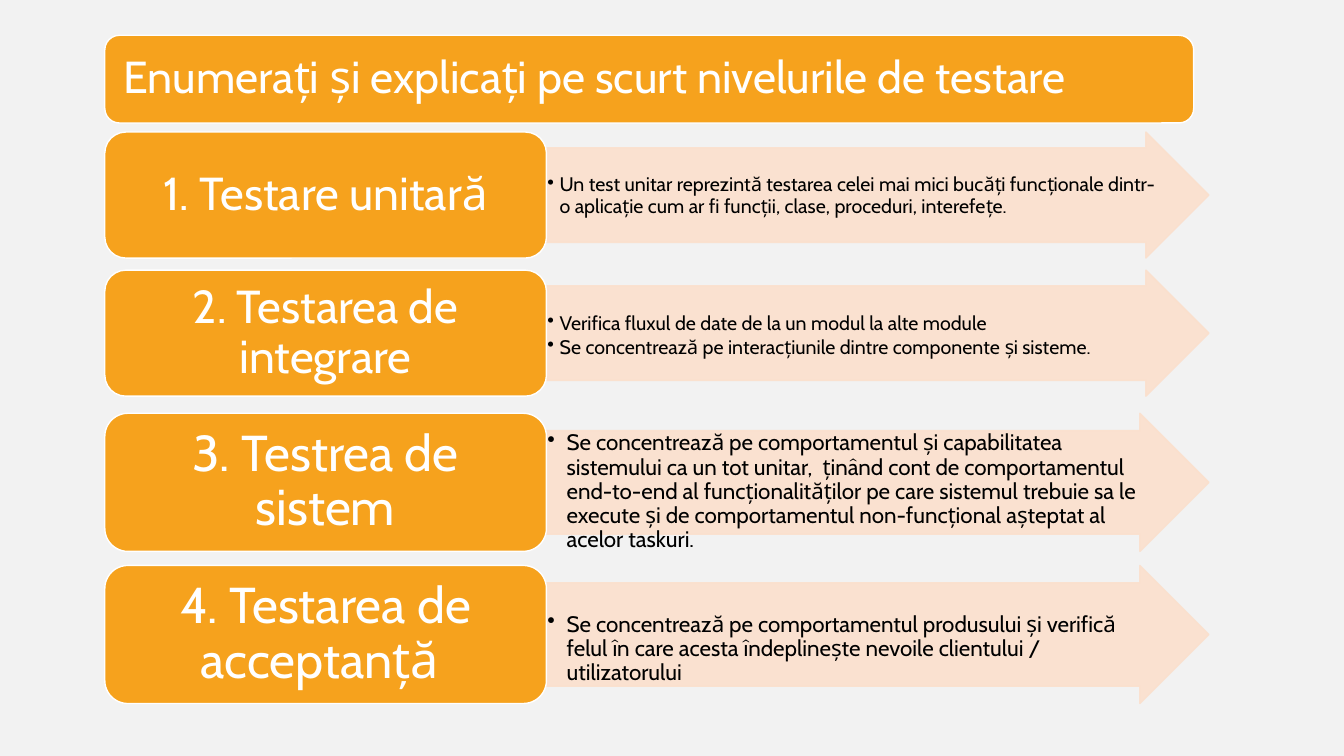
from dataclasses import dataclass

from lxml.etree import SubElement
from pptx import Presentation
from pptx.dml.color import RGBColor
from pptx.enum.shapes import MSO_SHAPE as Preset
from pptx.enum.text import MSO_ANCHOR as Anchor, MSO_AUTO_SIZE as AutoSize, PP_ALIGN as Align
from pptx.oxml.ns import qn
from pptx.shapes.autoshape import Shape
from pptx.slide import Slide
from pptx.util import Inches, Pt

COLORS = {
    "background": "F2F2F2",
    "box": "F6A21D",
    "arrow": "FBE0CD",
    "outline": "FFFFFF",
    "light": "FFFFFF",
    "dark": "000000",
}
FONT = "Cabin"
SLIDE_WIDTH = Inches(13.33)
SLIDE_HEIGHT = Inches(7.5)
LEFT = 7.8
BOX_WIDTH = 32.86
ARROW_WIDTH = 49.29


@dataclass(frozen=True)
class Area:
    left: float
    top: float
    width: float
    height: float


@dataclass(frozen=True)
class Style:
    label_size: int
    label_inset: float
    detail_size: int
    bullet_indent: float


@dataclass(frozen=True)
class Level:
    label: str
    details: tuple[str, ...]
    detail_top: float = 0.01


@dataclass(frozen=True)
class Band:
    top: float
    height: float
    pitch: float
    style: Style
    levels: tuple[Level, ...]


TITLE = "Enumerați și explicați pe scurt nivelurile de testare"
TITLE_BAR = Area(LEFT, 4.67, 81.02, 11.6)
TITLE_TEXT = Area(8.18, 5.2, 80.34, 10.53)

BANDS = (
    Band(17.47, 16.67, 18.27, Style(33, 0.14, 14, 0.12), (
        Level("1. Testare unitară", (
            "Un test unitar reprezintă testarea celei mai mici bucăți funcționale "
            "dintr-o aplicație cum ar fi funcții, clase, proceduri, interefețe.",
        ), 0.27),
        Level("2. Testarea de integrare", (
            "Verifica fluxul de date de la un modul la alte module",
            "Se concentrează pe interacțiunile dintre componente și sisteme.",
        ), 0.27),
    )),
    Band(54.67, 18.27, 20.13, Style(36, 0.15, 16, 0.19), (
        Level("3. Testrea de sistem", (
            "Se concentrează pe comportamentul și capabilitatea sistemului ca un tot "
            "unitar,  ținând cont de comportamentul end-to-end al funcționalităților "
            "pe care sistemul trebuie sa le execute și de comportamentul "
            "non-funcțional așteptat al acelor taskuri.",
        )),
        Level("4. Testarea de acceptanță ", (
            "Se concentrează pe comportamentul produsului și verifică felul în care "
            "acesta îndeplinește nevoile clientului / utilizatorului",
        ), 0.3),
    )),
)


def color(name: str) -> RGBColor:
    return RGBColor.from_string(COLORS[name])


def set_values(target: object, values: dict) -> None:
    for name, value in values.items():
        setattr(target, name, value)


def placement(area: Area) -> dict:
    return {
        "left": round(SLIDE_WIDTH * area.left / 100),
        "top": round(SLIDE_HEIGHT * area.top / 100),
        "width": round(SLIDE_WIDTH * area.width / 100),
        "height": round(SLIDE_HEIGHT * area.height / 100),
    }


def add_panel(slide: Slide, preset: Preset, area: Area, fill: str, line: str) -> Shape:
    shape = slide.shapes.add_shape(preset, **placement(area))
    shape.shadow.inherit = False
    shape.fill.solid()
    shape.fill.fore_color.rgb = color(fill)
    shape.line.color.rgb = color(line)
    shape.line.width = Pt(1)
    return shape


def write(shape: Shape, texts: tuple[str, ...], size: int, ink: str, align: Align,
          anchor: Anchor, insets: tuple[float, float, float, float],
          bullet_indent: float = 0) -> None:
    frame = shape.text_frame
    left, top, right, bottom = map(Inches, insets)
    set_values(frame, {
        "word_wrap": True, "auto_size": AutoSize.NONE, "vertical_anchor": anchor,
        "margin_left": left, "margin_top": top,
        "margin_right": right, "margin_bottom": bottom,
    })
    for index, text in enumerate(texts):
        paragraph = frame.add_paragraph() if index else frame.paragraphs[0]
        if bullet_indent:
            properties = paragraph._p.get_or_add_pPr()
            properties.set("marL", str(Inches(bullet_indent)))
            properties.set("indent", str(-Inches(bullet_indent)))
            SubElement(properties, qn("a:buChar")).set("char", "•")
        set_values(paragraph, {
            "alignment": align, "line_spacing": 0.9,
            "space_before": Pt(0), "space_after": Pt(2 if bullet_indent else 0),
        })
        run = paragraph.add_run()
        run.text = text
        set_values(run.font, {"name": FONT, "size": Pt(size), "bold": False})
        run.font.color.rgb = color(ink)


def add_title(slide: Slide) -> None:
    title = slide.shapes.title
    set_values(title, placement(TITLE_TEXT))
    bar = add_panel(slide, Preset.ROUNDED_RECTANGLE, TITLE_BAR, "box", "outline")
    title.element.addprevious(bar.element)
    write(title, (TITLE,), 32, "light", Align.LEFT, Anchor.MIDDLE, (0.13,) * 4)


def add_level(slide: Slide, level: Level, style: Style, top: float, height: float) -> None:
    arrow_area = Area(LEFT + BOX_WIDTH, top, ARROW_WIDTH, height)
    arrow = add_panel(slide, Preset.RIGHT_ARROW, arrow_area, "arrow", "arrow")
    set_values(arrow.adjustments, {})
    arrow.adjustments[0] = 0.75
    arrow.adjustments[1] = 0.5
    for tint in arrow.element.spPr.iter(qn("a:srgbClr")):
        SubElement(tint, qn("a:alpha")).set("val", "90000")
    write(arrow, level.details, style.detail_size, "dark", Align.LEFT, Anchor.TOP,
          (0.01, level.detail_top, 0.01, 0.01), style.bullet_indent)

    box_area = Area(LEFT, top, BOX_WIDTH, height)
    box = add_panel(slide, Preset.ROUNDED_RECTANGLE, box_area, "box", "outline")
    write(box, (level.label,), style.label_size, "light", Align.CENTER, Anchor.MIDDLE,
          (style.label_inset, 0.07, style.label_inset, 0.07))


def main() -> None:
    presentation = Presentation()
    set_values(presentation, {"slide_width": SLIDE_WIDTH, "slide_height": SLIDE_HEIGHT})
    slide = presentation.slides.add_slide(presentation.slide_layouts.get_by_name("Title Only"))
    slide.background.fill.solid()
    slide.background.fill.fore_color.rgb = color("background")
    add_title(slide)
    for band in BANDS:
        for row, level in enumerate(band.levels):
            add_level(slide, level, band.style, band.top + row * band.pitch, band.height)
    presentation.save("out.pptx")


if __name__ == "__main__":
    main()
